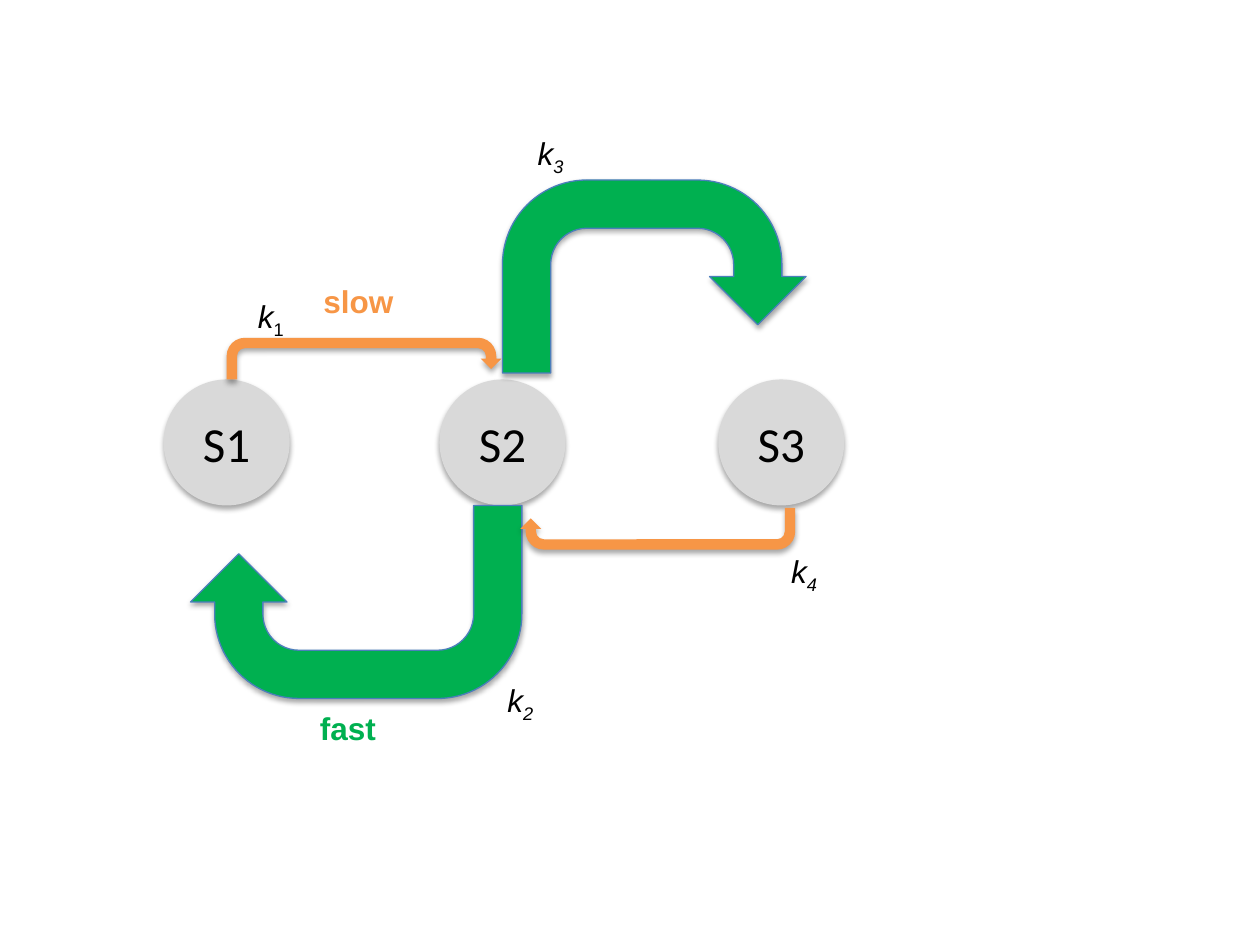
from pptx import Presentation
from pptx.dml.color import RGBColor
from pptx.enum import shapes, text
from pptx.util import Cm, Pt

BLACK = RGBColor(0x00, 0x00, 0x00)
GREY = RGBColor(0xD9, 0xD9, 0xD9)
ORANGE = RGBColor(0xF7, 0x96, 0x46)
GREEN = RGBColor(0x00, 0xB0, 0x50)
BLUE = RGBColor(0x4B, 0x7E, 0xBC)

# Content, lengths in cm
DIAMETER, STATE_TOP = 2.54, 7.65
STATES = [("S1", 3.3), ("S2", 8.86), ("S3", 14.48)]
# left, top, width, height, colour, outline, rotation
ARROWS = [
    (4.57, 6.81, 5.54, 0.84, ORANGE, None, 0),
    (3.84, 10.19, 6.68, 3.89, GREEN, BLUE, 180),
    (10.13, 3.63, 6.12, 3.89, GREEN, BLUE, 0),
    (10.49, 10.24, 5.54, 0.84, ORANGE, None, 180),
]
SPEEDS = [("slow", 6.27, 5.56, 1.93, ORANGE), ("fast", 6.2, 14.17, 1.65, GREEN)]
# index, left, top, index in italics
RATES = [
    ("3", 10.59, 2.57, True),
    ("2", 9.98, 13.61, True),
    ("1", 4.95, 5.87, False),
    ("4", 15.7, 11, True),
]
LABEL_HEIGHT, RATE_WIDTH = 1.02, 1.07


def add_solid(page, kind, place, colour, outline=None):
    # The theme's soft shadow is kept on purpose
    shape = page.shapes.add_shape(kind, *map(Cm, place))
    shape.fill.solid()
    shape.fill.fore_color.rgb = colour
    if outline is None:
        shape.line.fill.background()
    else:
        shape.line.color.rgb = outline
        shape.line.width = Pt(0.75)
    return shape


def style(span, name, size, colour):
    span.font.name = name
    span.font.size = Pt(size)
    span.font.color.rgb = colour


def add_label(page, left, top, width, words, colour):
    box = page.shapes.add_textbox(Cm(left), Cm(top), Cm(width), Cm(LABEL_HEIGHT))
    frame = box.text_frame
    frame.word_wrap = False
    frame.auto_size = text.MSO_AUTO_SIZE.SHAPE_TO_FIT_TEXT
    para = frame.paragraphs[0]
    for word in words:
        span = para.add_run()
        span.text = word
        style(span, "Arial", 18, colour)
    return para.runs


def main():
    deck = Presentation()
    deck.slide_width, deck.slide_height = Cm(25.4), Cm(19.05)
    page = deck.slides.add_slide(deck.slide_layouts[6])

    # States
    for name, left in STATES:
        place = (left, STATE_TOP, DIAMETER, DIAMETER)
        circle = add_solid(page, shapes.MSO_SHAPE.OVAL, place, GREY)
        frame = circle.text_frame
        frame.text = name
        frame.vertical_anchor = text.MSO_ANCHOR.MIDDLE
        para = frame.paragraphs[0]
        para.alignment = text.PP_ALIGN.CENTER
        style(para.runs[0], "Calibri", 28, BLACK)

    # Transitions
    for *place, colour, outline, rotation in ARROWS:
        arrow = add_solid(page, shapes.MSO_SHAPE.U_TURN_ARROW, place, colour, outline)
        arrow.rotation = rotation

    # Speed labels
    for word, left, top, width, colour in SPEEDS:
        add_label(page, left, top, width, [word], colour)[0].font.bold = True

    # Rate constants
    for index, left, top, italic in RATES:
        symbol, subscript = add_label(page, left, top, RATE_WIDTH, ["k", index], BLACK)
        symbol.font.italic = True
        subscript.font.italic = italic
        subscript.font._element.set("baseline", "-25000")

    deck.save("out.pptx")


if __name__ == "__main__":
    main()
